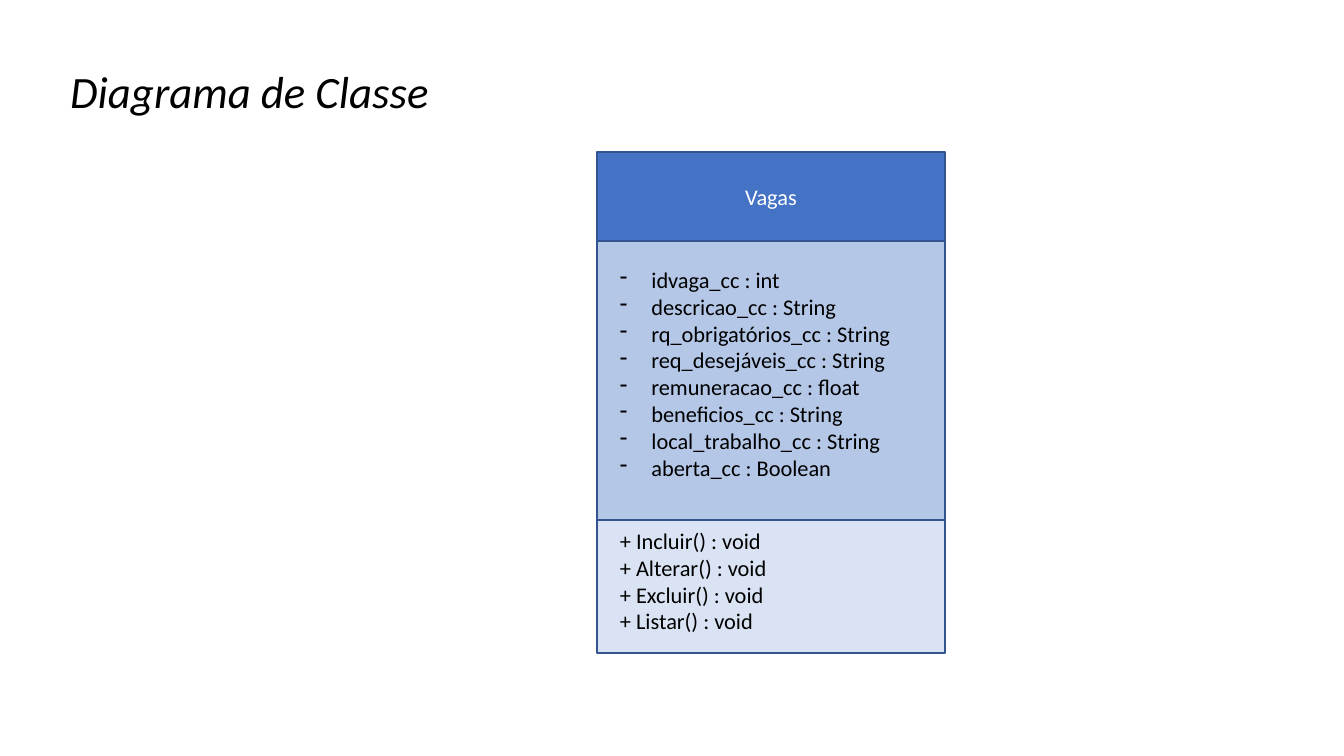
from lxml import etree
from pptx import Presentation
from pptx import util as u
from pptx.dml.color import RGBColor
from pptx.enum import shapes, text
from pptx.oxml.ns import qn

PIXEL = 914400 / 100.8
FONT = "Calibri"
BLACK = RGBColor(0x00, 0x00, 0x00)
WHITE = RGBColor(0xFF, 0xFF, 0xFF)
OUTLINE = RGBColor(0x32, 0x54, 0x91)
HEADER_BLUE = RGBColor(0x44, 0x72, 0xC4)
ATTRIBUTE_BLUE = RGBColor(0xB4, 0xC7, 0xE7)
METHOD_BLUE = RGBColor(0xDA, 0xE3, 0xF3)

ATTRIBUTES = [
    "idvaga_cc : int",
    "descricao_cc : String",
    "rq_obrigatórios_cc : String",
    "req_desejáveis_cc : String",
    "remuneracao_cc : float",
    "beneficios_cc : String",
    "local_trabalho_cc : String",
    "aberta_cc : Boolean",
]
METHODS = [f"+ {name}() : void" for name in ("Incluir", "Alterar", "Excluir", "Listar")]


def px(length):
    return u.Emu(round(length * PIXEL))


def emus(box):
    return [px(length) for length in box]


def write_lines(frame, lines, size, color, align=text.PP_ALIGN.LEFT):
    frame.text = "\n".join(lines)
    for para in frame.paragraphs:
        para.alignment = align
        para.font.name = FONT
        para.font.size = u.Pt(size)
        para.font.color.rgb = color


def add_dash(para, indent):
    props = para._p.get_or_add_pPr()
    props.set("marL", str(px(indent)))
    props.set("indent", str(-px(indent)))
    etree.SubElement(props, qn("a:buFontTx"))
    etree.SubElement(props, qn("a:buChar"), char="-")


def add_compartment(page, box, fill):
    part = page.shapes.add_shape(shapes.MSO_SHAPE.RECTANGLE, *emus(box))
    part.shadow.inherit = False
    part.fill.solid()
    part.fill.fore_color.rgb = fill
    part.line.color.rgb = OUTLINE
    part.line.width = u.Pt(1)
    return part


def add_list(page, box, lines, wrap):
    frame = page.shapes.add_textbox(*emus(box)).text_frame
    frame.word_wrap = wrap
    write_lines(frame, lines, 16, BLACK)
    return frame


def build_title(page, box, wording):
    title = page.shapes.title
    title.left, title.top, title.width, title.height = emus(box)
    frame = title.text_frame
    write_lines(frame, [wording], 32, BLACK)
    frame.paragraphs[0].font.italic = True
    frame.word_wrap = False
    frame.auto_size = text.MSO_AUTO_SIZE.NONE
    frame.vertical_anchor = text.MSO_ANCHOR.TOP


def build_class(page, box, name, attributes, methods):
    left, top, width, height = box
    header_height, attribute_height = 89, 279
    attribute_top = top + header_height
    method_top = attribute_top + attribute_height
    method_height = top + height - method_top
    list_left = left + 13

    # Stacked compartments
    header = add_compartment(page, (left, top, width, header_height), HEADER_BLUE)
    add_compartment(page, (left, attribute_top, width, attribute_height), ATTRIBUTE_BLUE)
    add_compartment(page, (left, method_top, width, method_height), METHOD_BLUE)

    # Class name
    header.text_frame.vertical_anchor = text.MSO_ANCHOR.MIDDLE
    write_lines(header.text_frame, [name], 16, WHITE, text.PP_ALIGN.CENTER)

    # Attributes and methods
    frame = add_list(page, (list_left, attribute_top + 20, 322, 228), attributes, True)
    for para in frame.paragraphs:
        add_dash(para, 31.5)
    add_list(page, (list_left, method_top + 2, 169, 119), methods, False)


deck = Presentation()
deck.slide_width, deck.slide_height = px(1344), px(756)
page = deck.slides.add_slide(deck.slide_layouts[5])
build_title(page, (60, 59, 393, 65), "Diagrama de Classe")
build_class(page, (597, 152, 348, 501), "Vagas", ATTRIBUTES, METHODS)
deck.save("out.pptx")
